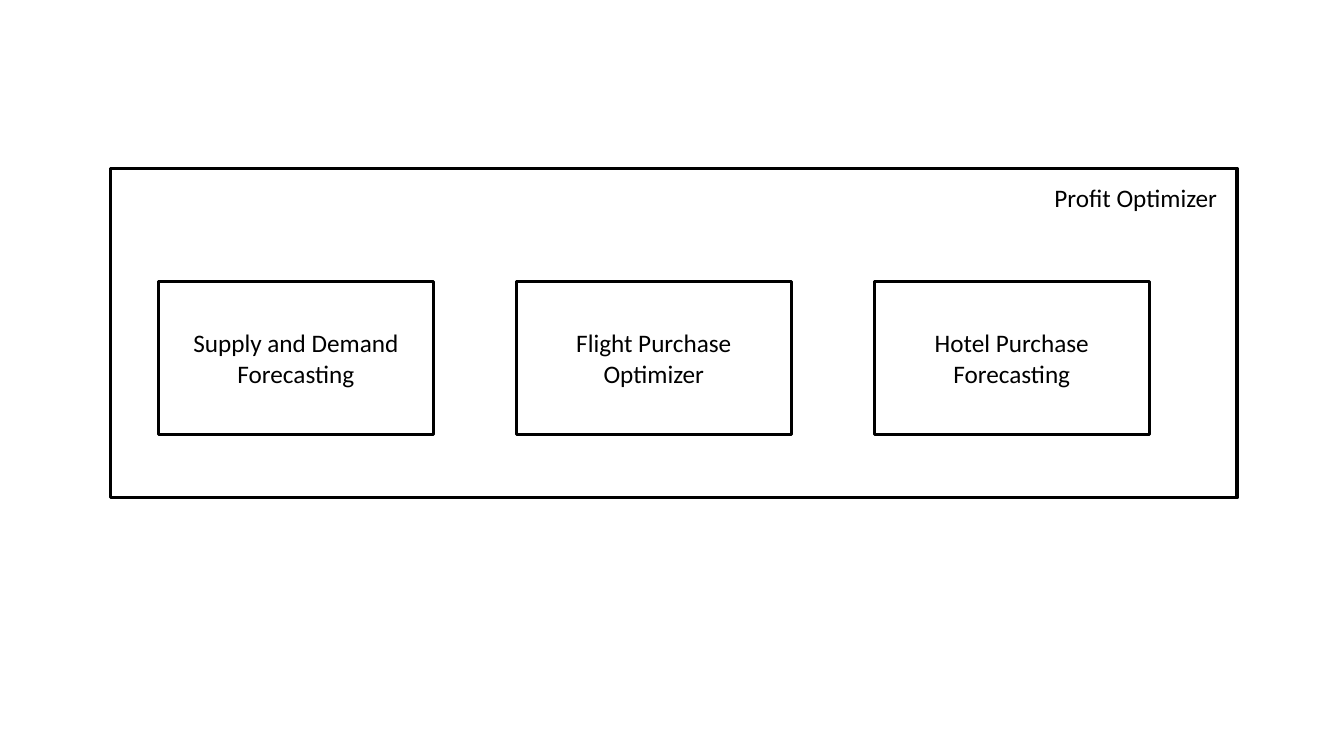
"""Build the Profit Optimizer block diagram slide."""
from dataclasses import dataclass

from pptx import Presentation
from pptx.dml.color import RGBColor
from pptx.enum.shapes import MSO_SHAPE
from pptx.enum.text import MSO_ANCHOR, MSO_AUTO_SIZE, PP_ALIGN
from pptx.util import Inches, Pt

RECT = MSO_SHAPE.RECTANGLE
MIDDLE = MSO_ANCHOR.MIDDLE
CENTER = PP_ALIGN.CENTER
GROW = MSO_AUTO_SIZE.SHAPE_TO_FIT_TEXT


@dataclass
class Theme:
    ink: RGBColor = RGBColor(0, 0, 0)
    paper: RGBColor = RGBColor(255, 255, 255)
    font: str = "Calibri"
    size: Pt = Pt(18)
    line: Pt = Pt(2.25)


theme = Theme()


def add_box(left, top, width, height):
    box = slide.shapes.add_shape(
        RECT, Inches(left), Inches(top), Inches(width), Inches(height))
    box.shadow.inherit = False
    box.fill.solid()
    box.fill.fore_color.rgb = theme.paper
    box.line.color.rgb = theme.ink
    box.line.width = theme.line
    return box


def write(frame, text):
    frame.word_wrap = True
    para = frame.paragraphs[0]
    para.text = text
    para.font.name = theme.font
    para.font.size = theme.size
    para.font.color.rgb = theme.ink
    return para


deck = Presentation()
deck.slide_width = Inches(13.33)
deck.slide_height = Inches(7.5)
slide = deck.slides.add_slide(deck.slide_layouts.get_by_name("Blank"))

add_box(1.1, 1.67, 11.17, 3.27)

parts = [
    "Supply and Demand Forecasting",
    "Flight Purchase Optimizer",
    "Hotel Purchase Forecasting",
]
start, pitch = 1.57, 3.55
for i, part in enumerate(parts):
    box = add_box(start + i * pitch, 2.79, 2.73, 1.52)
    box.text_frame.vertical_anchor = MIDDLE
    write(box.text_frame, part).alignment = CENTER

label = slide.shapes.add_textbox(
    Inches(10.36), Inches(1.76), Inches(1.92), Inches(0.4))
write(label.text_frame, "Profit Optimizer")
label.text_frame.auto_size = GROW

deck.save("out.pptx")
